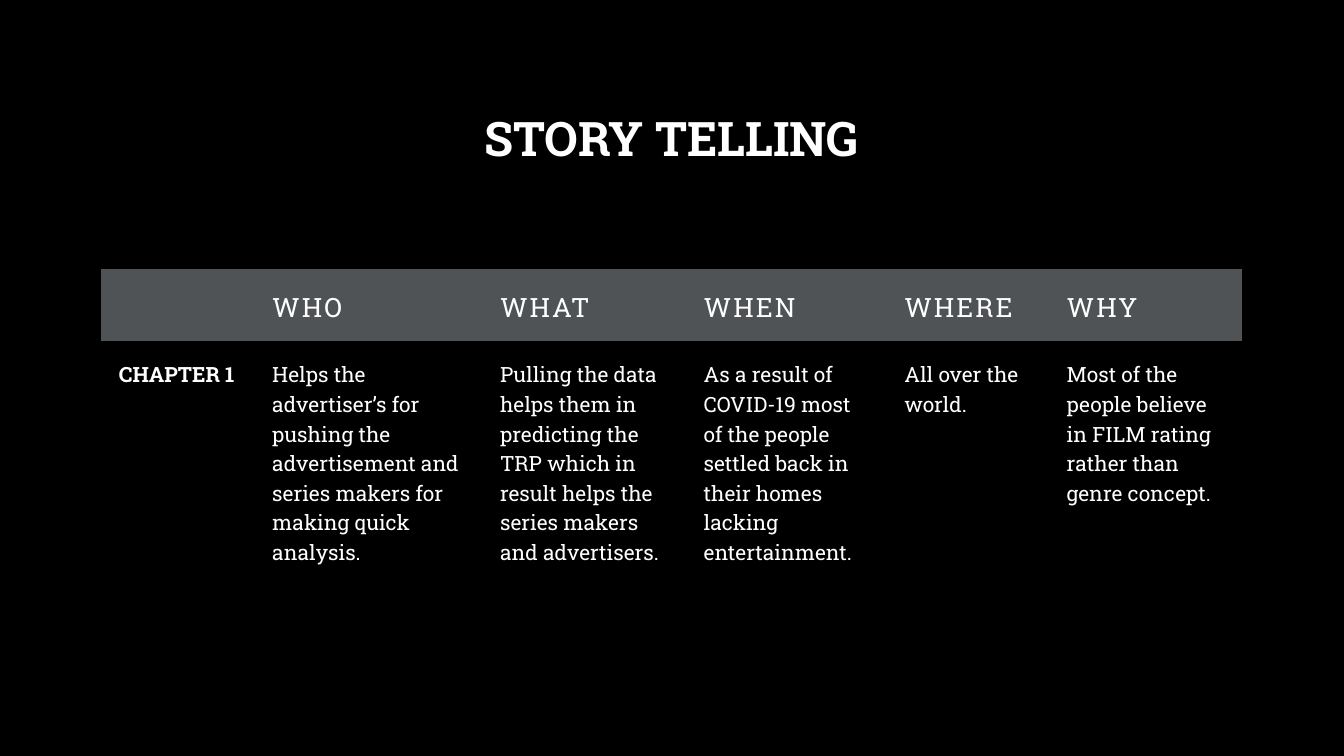
from dataclasses import dataclass

from pptx import Presentation
from pptx.dml.color import RGBColor as RGB
from pptx.enum.text import MSO_ANCHOR as Anchor, PP_ALIGN as Align
from pptx.util import Inches, Pt


@dataclass(frozen=True)
class Theme:
    font: str = "Roboto Slab"
    back: str = "000000"
    ink: str = "FFFFFF"
    band: str = "505356"
    title: int = 34
    head: int = 19
    body: int = 15
    inset: float = 0.18
    plain: str = "{2D5ABB26-0587-4C30-8999-92F81FD0307C}"


THEME = Theme()
LEFT, WIDTH = 1, 11.32
COLS = [1.52, 2.26, 2.02, 1.99, 1.61, 1.92]
ROWS = [0.71, 2.51]
HEADS = ["", "WHO", "WHAT", "WHEN", "WHERE", "WHY"]
STORY = [
    "CHAPTER 1",
    "Helps the advertiser’s for pushing the advertisement and series makers "
    "for making quick analysis.",
    "Pulling the data helps them in predicting the TRP which in result helps "
    "the series makers and advertisers.",
    "As a result of COVID-19 most of the people settled back in their homes "
    "lacking entertainment.",
    "All over the world.",
    "Most of the people believe in FILM rating rather than genre concept.",
]


def paint(fill, color):
    fill.solid()
    fill.fore_color.rgb = RGB.from_string(color)


def write(frame, text, size, bold=False, align=Align.LEFT, lead=1.07, track=0):
    frame.word_wrap = True
    para = frame.paragraphs[0]
    para.alignment = align
    para.line_spacing = lead
    run = para.add_run()
    run.text = text
    font = run.font
    font.name = THEME.font
    font.size = Pt(size)
    font.bold = bold
    font.color.rgb = RGB.from_string(THEME.ink)
    if track:
        font._element.set("spc", str(int(track * 100)))


def add_title(slide, text):
    box = slide.shapes.add_textbox(
        Inches(LEFT), Inches(0.67), Inches(WIDTH), Inches(1.45))
    box.text_frame.vertical_anchor = Anchor.MIDDLE
    write(box.text_frame, text, THEME.title, bold=True,
          align=Align.CENTER, lead=0.9)


def pad(cell):
    inset = Inches(THEME.inset)
    cell.margin_left = cell.margin_right = inset
    cell.margin_top = cell.margin_bottom = inset


def add_grid(slide):
    grid = slide.shapes.add_table(
        len(ROWS), len(COLS), Inches(LEFT), Inches(2.67),
        Inches(WIDTH), Inches(sum(ROWS))).table
    grid.first_row = grid.horz_banding = False
    grid._tbl.tblPr[0].text = THEME.plain
    for row, high in zip(grid.rows, ROWS):
        row.height = Inches(high)
    for col, wide in enumerate(COLS):
        grid.columns[col].width = Inches(wide)
        head, body = grid.cell(0, col), grid.cell(1, col)
        pad(head)
        pad(body)
        paint(head.fill, THEME.band)
        body.fill.background()
        head.vertical_anchor = Anchor.MIDDLE
        if HEADS[col]:
            write(head.text_frame, HEADS[col], THEME.head, track=1.5)
        write(body.text_frame, STORY[col], THEME.body, bold=col == 0)


def main():
    deck = Presentation()
    deck.slide_width, deck.slide_height = Inches(13.33), Inches(7.5)
    slide = deck.slides.add_slide(deck.slide_layouts[6])
    paint(slide.background.fill, THEME.back)
    add_title(slide, "STORY TELLING")
    add_grid(slide)
    deck.save("out.pptx")


if __name__ == "__main__":
    main()
